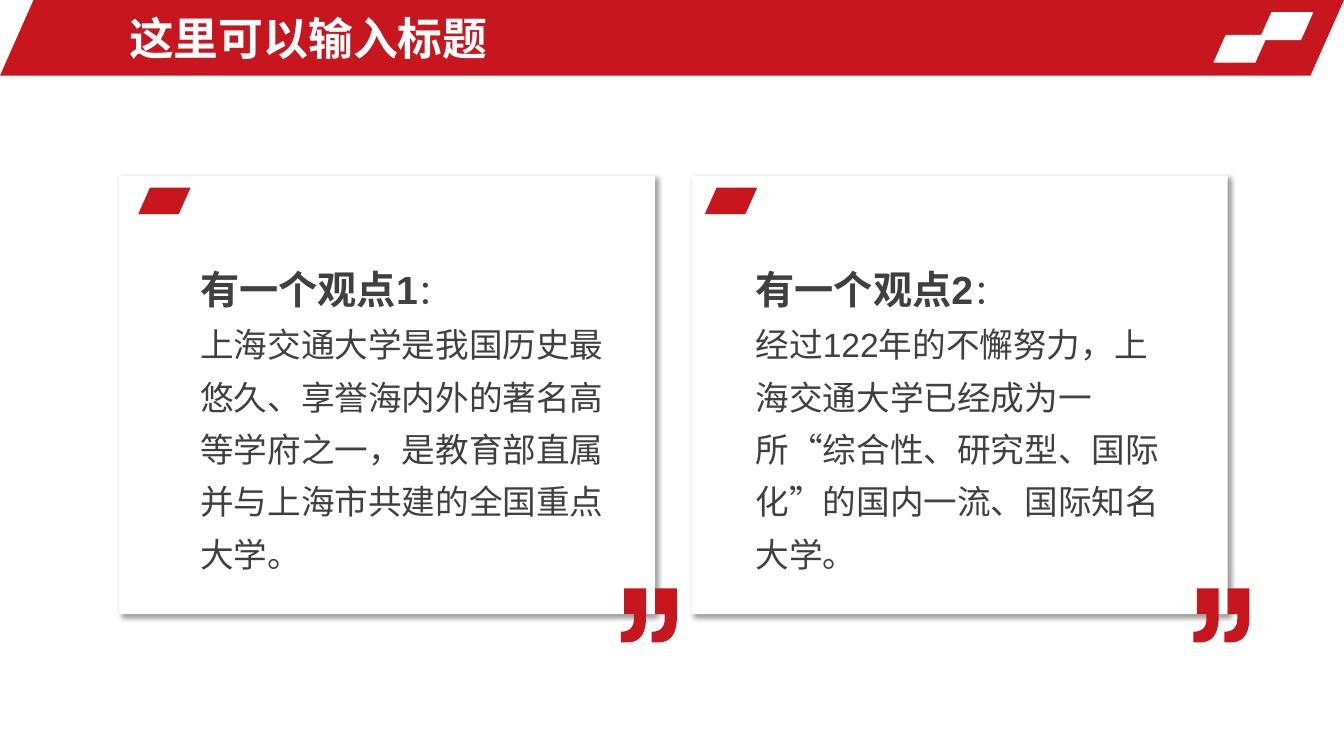
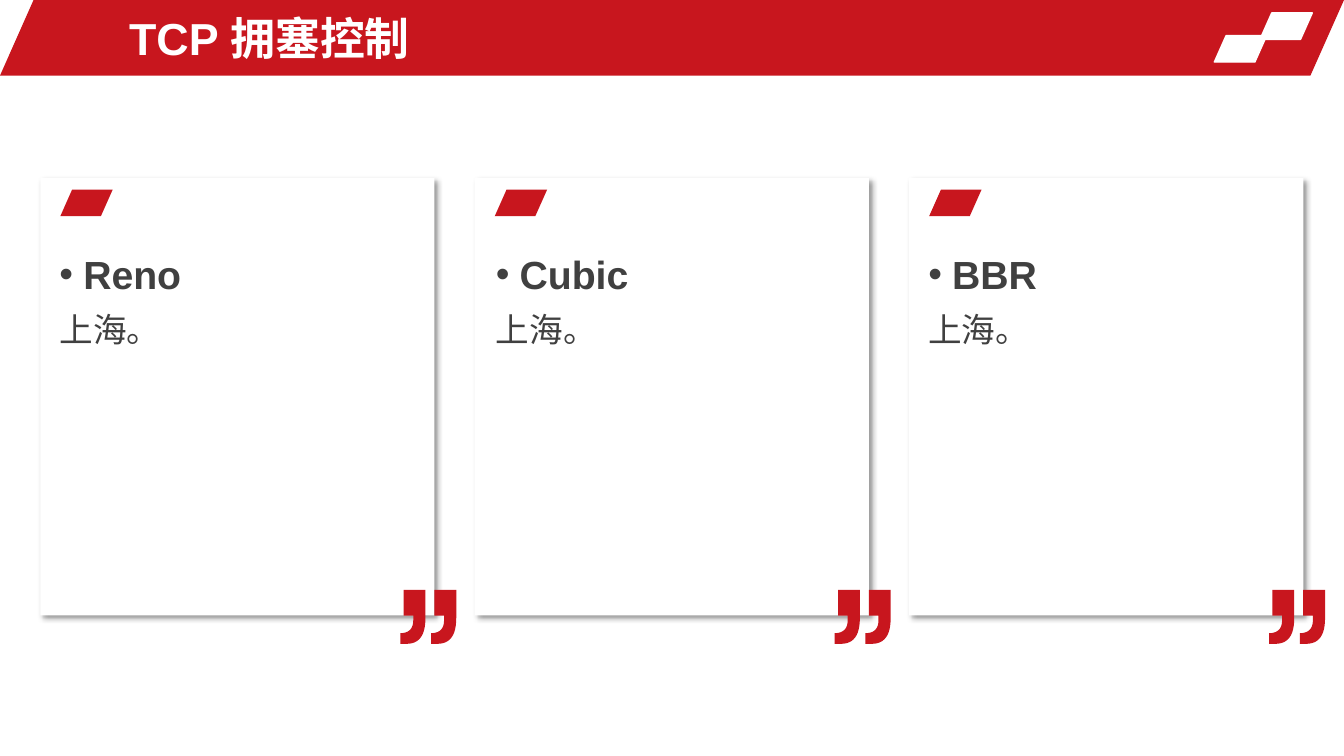
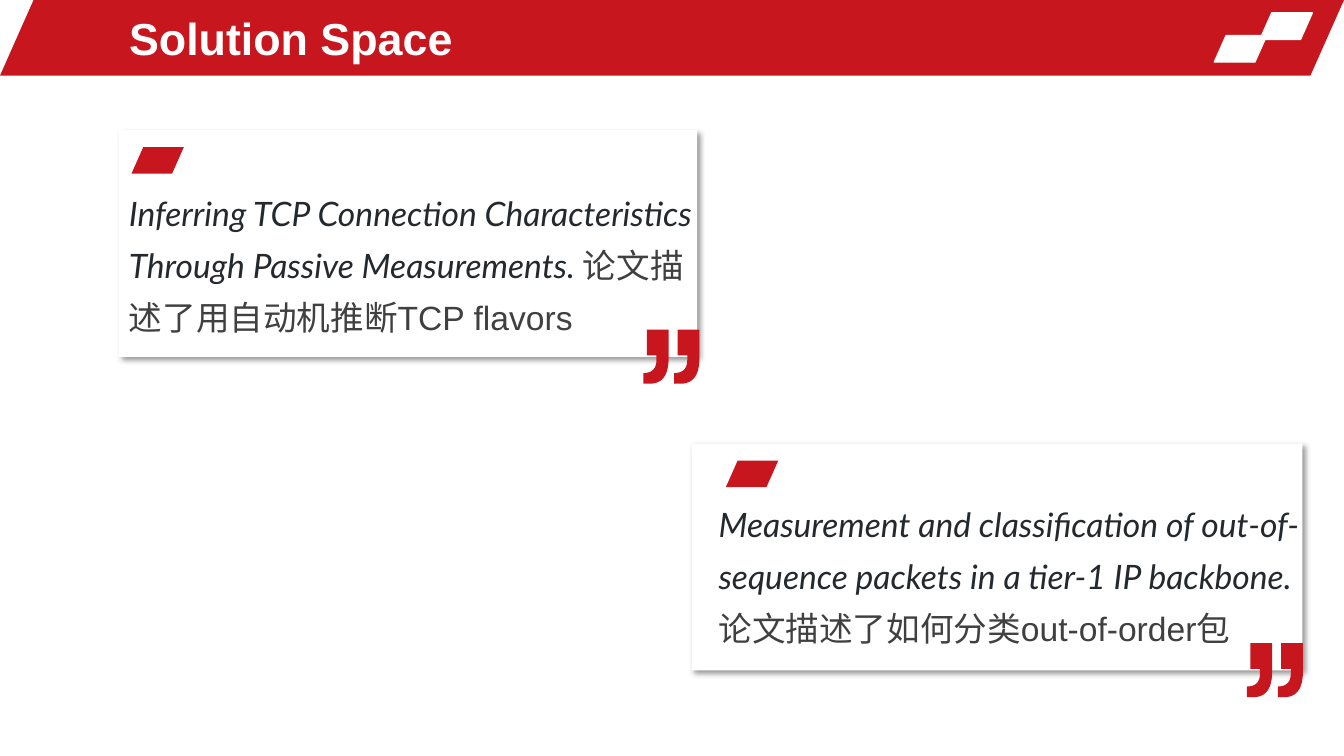
from lxml import etree
from pptx import Presentation
from pptx.dml.color import RGBColor
from pptx.enum import lang, shapes, text
from pptx.oxml import ns
from pptx.util import Pt

# Shared look
RED, WHITE, GREY, INK = "C8161E", "FFFFFF", "404040", "24292E"
BODY_FONT, PAPER_FONT = "Arial", "Lato"
TAG_WIDTH, TAG_HEIGHT = 37.4, 18.9
SLANT = 0.444

# One comma of the closing quote mark: a point is a line, three points a curve
COMMA = [
    [(2.4, 0)], [(18, 0)], [(18, 20.2)],
    [(18, 32.6), (13.5, 38.6), (4.4, 38.6)],
    [(0, 38.6)], [(0, 31)],
    [(6.3, 31), (9.3, 27.6), (9.3, 21.8)],
    [(9.3, 18.4)], [(2.4, 18.4)],
]
COMMA_STEP = 22
CURVE_STEPS = 12
UNITS = 100  # freeform units in one point


def colour(value):
    return RGBColor.from_string(value)


def add_box(page, kind, left, top, width, height, fill, outline=None):
    box = page.shapes.add_shape(kind, Pt(left), Pt(top), Pt(width), Pt(height))
    box.shadow.inherit = False
    box.fill.solid()
    box.fill.fore_color.rgb = colour(fill)
    if outline:
        box.line.color.rgb = colour(outline)
        box.line.width = Pt(1)
    else:
        box.line.fill.background()
    return box


def add_slanted(page, left, top, width, height, fill, outline=None):
    box = add_box(page, shapes.MSO_SHAPE.PARALLELOGRAM, left, top, width, height, fill, outline)
    box.adjustments[0] = SLANT
    return box


def add_soft_shadow(box):
    effects = box.element.spPr.find(ns.qn("a:effectLst"))
    shadow = etree.SubElement(
        effects, ns.qn("a:outerShdw"), blurRad=str(Pt(4)), dist=str(Pt(3)),
        dir=str(45 * 60000), algn="tl", rotWithShape="0")
    tint = etree.SubElement(shadow, ns.qn("a:srgbClr"), val="000000")
    etree.SubElement(tint, ns.qn("a:alpha"), val="40000")


# Closing quote mark
def comma_points(shift):
    points = []
    for step in COMMA:
        if len(step) == 1:
            points += step
            continue
        ends = [points[-1], *step]
        for index in range(1, CURVE_STEPS + 1):
            t = index / CURVE_STEPS
            weights = ((1 - t) ** 3, 3 * t * (1 - t) ** 2, 3 * t * t * (1 - t), t ** 3)
            points.append(tuple(sum(w * end[axis] for w, end in zip(weights, ends))
                                for axis in (0, 1)))
    return [((x + shift) * UNITS, y * UNITS) for x, y in points]


def add_quote(page, left, top):
    first, second = comma_points(0), comma_points(COMMA_STEP)
    builder = page.shapes.build_freeform(*first[0], scale=Pt(1) / UNITS)
    builder.add_line_segments(first[1:], close=True)
    builder.move_to(*second[0])
    builder.add_line_segments(second[1:], close=True)
    quote = builder.convert_to_shape(Pt(left), Pt(top))
    quote.shadow.inherit = False
    quote.fill.solid()
    quote.fill.fore_color.rgb = colour(RED)
    quote.line.fill.background()


def add_card(page, left, top, width, height, tag, quote=(-24.5, -18.4)):
    """Tag is placed from the top left corner, quote from the bottom right."""
    card = add_box(page, shapes.MSO_SHAPE.RECTANGLE, left, top, width, height, WHITE)
    add_soft_shadow(card)
    add_slanted(page, left + tag[0], top + tag[1], TAG_WIDTH, TAG_HEIGHT, RED)
    add_quote(page, left + width + quote[0], top + height + quote[1])


# Text
def add_span(para, words, size=24, fill=GREY, font=BODY_FONT, bold=False, italic=False):
    span = para.add_run()
    span.text = words
    span.font.name = font
    span.font.size = Pt(size)
    span.font.bold = bold
    span.font.italic = italic
    span.font.color.rgb = colour(fill)
    span.font.language_id = lang.MSO_LANGUAGE_ID.SIMPLIFIED_CHINESE


def add_text(page, left, top, width, height, *lines, bullet=False):
    """Each line is a list of (words, style) spans; bullet marks the first line."""
    frame = page.shapes.add_textbox(Pt(left), Pt(top), Pt(width), Pt(height)).text_frame
    frame.word_wrap = True
    frame.auto_size = text.MSO_AUTO_SIZE.SHAPE_TO_FIT_TEXT
    for index, spans in enumerate(lines):
        para = frame.add_paragraph() if index else frame.paragraphs[0]
        para.line_spacing = 1.3
        if bullet and index == 0:
            add_bullet(para)
        for words, style in spans:
            add_span(para, words, **style)


def add_bullet(para):
    props = para.line_spacing and para._p.get_or_add_pPr()
    props.set("marL", str(Pt(17)))
    props.set("indent", str(-Pt(17)))
    etree.SubElement(props, ns.qn("a:buFont"), typeface=BODY_FONT)
    etree.SubElement(props, ns.qn("a:buChar"), char="•")


HEADING = {"size": 28, "bold": True}
PAPER = {"fill": INK, "font": PAPER_FONT, "italic": True}


# Pages
def add_page(deck, title):
    page = deck.slides.add_slide(deck.slide_layouts[5])
    box = page.shapes.title
    box.left, box.top, box.width, box.height = Pt(85), Pt(3.6), Pt(557.3), Pt(46.8)
    frame = box.text_frame
    frame.auto_size = text.MSO_AUTO_SIZE.NONE
    frame.vertical_anchor = text.MSO_ANCHOR.MIDDLE
    para = frame.paragraphs[0]
    para.alignment = text.PP_ALIGN.LEFT
    add_span(para, title, size=32, fill=WHITE, bold=True)
    return page


def add_band_to_layout(deck, page):
    """Draw the title band, then hand it to the layout that all pages use."""
    band = [
        add_slanted(page, 0, 0, 960, 54, RED),
        add_slanted(page, 900, 9.2, TAG_WIDTH, TAG_HEIGHT, WHITE, WHITE),
        add_slanted(page, 867.4, 25.4, TAG_WIDTH, TAG_HEIGHT, WHITE, WHITE),
    ]
    tree = deck.slide_layouts[5].shapes.element
    for number, box in enumerate(band, start=101):
        box.element.nvSpPr.cNvPr.set("id", str(number))
        tree.append(box.element)


def build_viewpoints(page):
    viewpoints = [
        (85, 13.7, 136, 237, "有一个观点1",
         "上海交通大学是我国历史最悠久、享誉海内外的著名高等学府之一，"
         "是教育部直属并与上海市共建的全国重点大学。"),
        (494, 9.4, 532.7, 198.7, "有一个观点2",
         "经过122年的不懈努力，上海交通大学已经成为一所“综合性、研究型、国际化”"
         "的国内一流、国际知名大学。"),
    ]
    for left, tag_left, text_left, text_height, heading, body in viewpoints:
        add_card(page, left, 125.5, 383, 313.2, (tag_left, 8.6))
        add_text(page, text_left, 175.7, 306.7, text_height,
                 [(heading, HEADING), ("：", {})], [(body, {})])


def build_algorithms(page):
    for index, (name, inset) in enumerate([("Reno", 6.6), ("Cubic", 8), ("BBR", 6.6)]):
        left = 28.8 + index * 310.3
        add_card(page, left, 127.2, 281.6, 312.5, (14.3, 8.3))
        add_text(page, left + inset, 165, 275, 85.7,
                 [(name, HEADING)], [("上海。", {})], bullet=True)


def build_papers(page):
    papers = [
        (85, 92.9, 413, 8.9, -38.4, (85, 125.3, 424.8, 116.6),
         "Inferring TCP Connection Characteristics Through Passive Measurements. ",
         "论文描述了用自动机推断TCP flavors"),
        (494, 316.8, 436.3, 24.5, -39.6, (506.2, 347.5, 436.3, 116.6),
         "Measurement and classification of out-of-sequence packets in a tier-1 IP backbone.",
         "论文描述了如何分类out-of-order包"),
    ]
    for left, top, width, tag_left, quote_left, place, paper, summary in papers:
        add_card(page, left, top, width, 162, (tag_left, 12.2), (quote_left, -19.4))
        add_text(page, *place, [(paper, PAPER), (summary, {})])


def main():
    deck = Presentation()
    deck.slide_width, deck.slide_height = Pt(960), Pt(540)
    first = add_page(deck, "这里可以输入标题")
    add_band_to_layout(deck, first)
    build_viewpoints(first)
    build_algorithms(add_page(deck, "TCP 拥塞控制"))
    build_papers(add_page(deck, "Solution Space"))
    deck.save("out.pptx")


if __name__ == "__main__":
    main()
